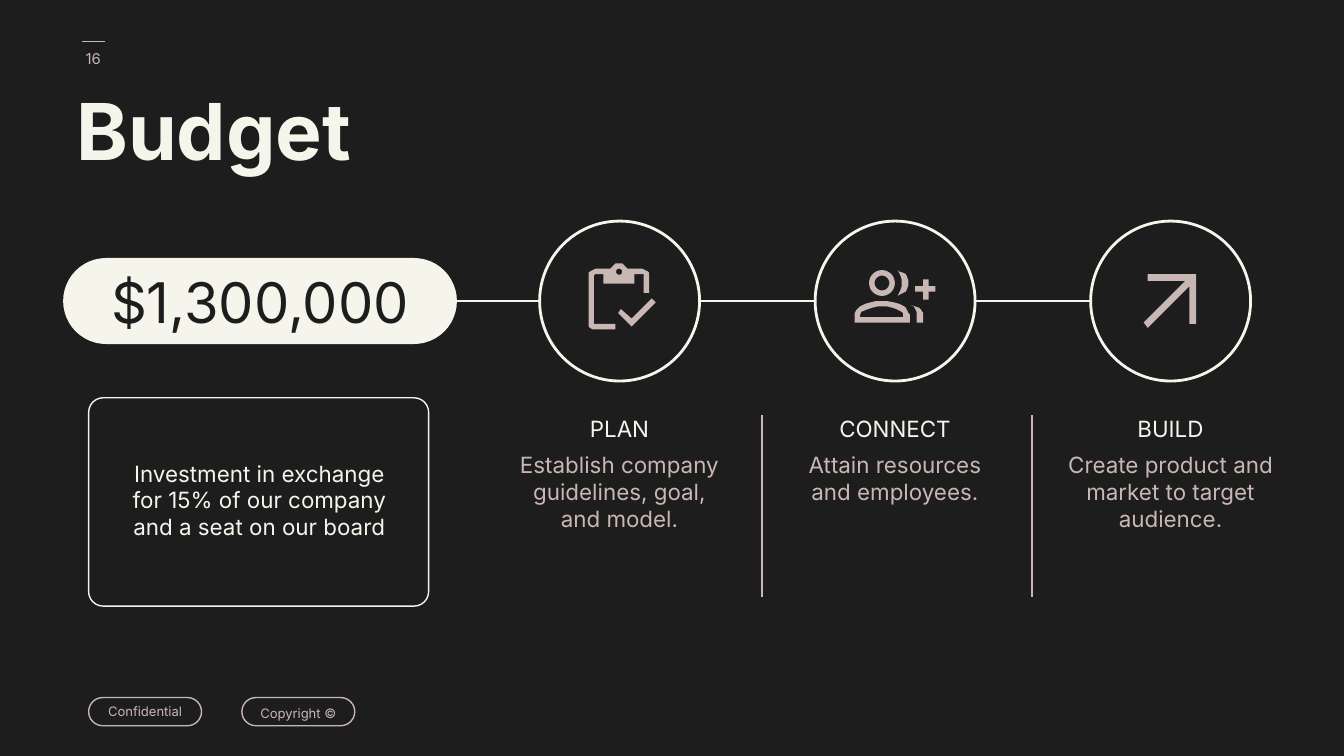
from math import cos, pi, sin

from lxml.etree import SubElement
from pptx import Presentation
from pptx.dml.color import RGBColor
from pptx.enum.shapes import MSO_CONNECTOR, MSO_SHAPE
from pptx.enum.text import MSO_ANCHOR, PP_ALIGN
from pptx.oxml.ns import qn
from pptx.util import Inches, Pt

THEME = {
    "font": "Inter",
    "dark": RGBColor.from_string("1D1D1D"),
    "cream": RGBColor.from_string("F6F5EC"),
    "rose": RGBColor.from_string("C9B7B4"),
    "title": 42, "amount": 30, "body": 12, "number": 8, "footer": 7,
    "thin": 0.75, "thick": 1.5,
}


def ring(x, y, radius, steps=32):
    return [(x + radius * cos(2 * pi * step / steps), y + radius * sin(2 * pi * step / steps))
            for step in range(steps)]


CLIPBOARD = [
    [(23, 0), (20, 0), (19, 1), (17, 3), (16, 4), (5, 4), (3, 5), (1, 6), (0, 7), (0, 47),
     (1, 48), (3, 49), (20, 49), (20, 45), (4, 45), (4, 9), (5, 8), (11, 8), (11, 15), (34, 15),
     (34, 8), (41, 8), (41, 22), (45, 22), (45, 7), (44, 6), (42, 5), (40, 4), (29, 4),
     (28, 3), (26, 1), (25, 0)],
    ring(22.7, 6.2, 2.3),
    [(47, 26), (32, 41), (24, 34), (22, 37), (32, 47), (50, 29)],
]
PEOPLE = [
    ring(20.3, 9.6, 9.6),
    ring(20.3, 9.6, 5.5),
    [(32, 0), (33, 2), (34, 4), (35, 7), (35, 12), (34, 15), (33, 17), (32, 19), (36, 17),
     (38, 16), (39, 14), (40, 11), (40, 8), (39, 5), (38, 3), (36, 2), (33, 1)],
    [(51, 7), (51, 12), (45, 12), (45, 16), (51, 16), (51, 22), (55, 22), (55, 16), (60, 16),
     (60, 12), (55, 12), (55, 7)],
    [(20, 23), (16, 23), (12, 24), (8, 25), (4, 27), (3, 28), (1, 30), (0, 32), (0, 39),
     (41, 39), (41, 33), (40, 32), (39, 30), (38, 28), (37, 27), (33, 25), (29, 24), (24, 23)],
    [(20, 27), (24, 27), (28, 28), (31, 29), (35, 31), (36, 32), (36, 35), (4, 35), (4, 33),
     (5, 31), (10, 29), (13, 28), (17, 27)],
    [(42, 26), (44, 27), (45, 29), (46, 31), (46, 39), (51, 39), (51, 32), (49, 29),
     (48, 28), (45, 27)],
]
ARROW = [[(3, 0), (3, 5), (31, 5), (0, 36), (3, 40), (34, 9), (34, 37), (39, 37), (39, 0)]]

NUMBER = "16"
TITLE = "Budget"
AMOUNT = "$1,300,000"
OFFER = "Investment in exchange for 15% of our company and a seat on our board"
FOOTERS = [("Confidential", 1.0), ("Copyright ©", 1.15)]
STEPS = [
    ("PLAN", "Establish company guidelines, goal, and model.", CLIPBOARD, (4.38, 1.96)),
    ("CONNECT", "Attain resources and employees.", PEOPLE, (6.36, 2.01)),
    ("BUILD", "Create product and market to target audience.", ARROW, (8.51, 2.04)),
]

WIDTH = 10
HEIGHT = WIDTH * 9 / 16
FIRST_CENTRE, PITCH = 4.61, 2.05
DIAMETER = 1.19
AXIS = 2.24
MARGIN = 0.66
CAPTION_TOP = 2.96

deck = Presentation()
deck.slide_width, deck.slide_height = Inches(WIDTH), Inches(HEIGHT)
slide = deck.slides.add_slide(deck.slide_layouts[6])
slide.background.fill.solid()
slide.background.fill.fore_color.rgb = THEME["dark"]
shapes = slide.shapes


def write(holder, wording, size, colour, align=PP_ALIGN.CENTER, anchor=MSO_ANCHOR.MIDDLE,
          spacing=1.0, bold=False):
    frame = holder.text_frame
    frame.word_wrap = True
    frame.vertical_anchor = anchor
    frame.margin_left = frame.margin_right = frame.margin_top = frame.margin_bottom = Inches(0.1)
    frame.text = wording
    paragraph = frame.paragraphs[0]
    paragraph.alignment, paragraph.line_spacing = align, spacing
    font = paragraph.runs[0].font
    font.name, font.size, font.bold = THEME["font"], Pt(THEME[size]), bold
    font.color.rgb = THEME[colour]


def add_text(box, *args, **style):
    write(shapes.add_textbox(*map(Inches, box)), *args, **style)


def add_line(start, end, colour, weight):
    line = shapes.add_connector(MSO_CONNECTOR.STRAIGHT, *map(Inches, start + end))
    line.line.color.rgb = THEME[colour]
    line.line.width = Pt(THEME[weight])
    SubElement(line._element.spPr, qn("a:effectLst"))


def paint(shape, fill=None, line=None, weight="thin"):
    shape.shadow.inherit = False
    if fill:
        shape.fill.solid()
        shape.fill.fore_color.rgb = THEME[fill]
    else:
        shape.fill.background()
    if line:
        shape.line.color.rgb = THEME[line]
        shape.line.width = Pt(THEME[weight])
    else:
        shape.line.fill.background()


def add_rounded(box, corner, **look):
    rounded = shapes.add_shape(MSO_SHAPE.ROUNDED_RECTANGLE, *map(Inches, box))
    rounded.adjustments[0] = corner
    paint(rounded, **look)
    return rounded


def add_icon(contours, origin):
    placed = [[tuple(Inches(base + part / 100) for base, part in zip(origin, point))
               for point in contour] for contour in contours]
    builder = shapes.build_freeform(*placed[0][0])
    builder.add_line_segments(placed[0][1:])
    for contour in placed[1:]:
        builder.move_to(*contour[0])
        builder.add_line_segments(contour[1:])
    paint(builder.convert_to_shape(), fill="rose")


add_text((0.46, 0.22, 0.47, 0.43), NUMBER, "number", "rose")
add_line((0.78, 0.31), (0.61, 0.31), "rose", "thin")
add_text((0.47, 0.65, 7.4, 0.96), TITLE, "title", "cream", align=PP_ALIGN.LEFT,
         anchor=MSO_ANCHOR.TOP, spacing=0.8, bold=True)

link_start = 3.18
for column, (heading, detail, icon, icon_origin) in enumerate(STEPS):
    centre = FIRST_CENTRE + column * PITCH
    left = centre - DIAMETER / 2
    add_line((link_start, AXIS), (left, AXIS), "cream", "thick")
    link_start = left + DIAMETER
    circle = shapes.add_shape(MSO_SHAPE.FLOWCHART_CONNECTOR, Inches(left),
                              Inches(AXIS - DIAMETER / 2), Inches(DIAMETER), Inches(DIAMETER))
    paint(circle, line="cream", weight="thick")
    add_icon(icon, icon_origin)
    add_text((centre - 0.8, CAPTION_TOP, 1.6, 0.3), heading, "body", "cream",
             anchor=MSO_ANCHOR.TOP, spacing=1.15)
    add_text((centre - 0.88, CAPTION_TOP + 0.3, 1.76, 1.19), detail, "body", "rose",
             anchor=MSO_ANCHOR.TOP)

for gap in range(len(STEPS) - 1):
    divider = 5.67 + gap * 2.01
    add_line((divider, 3.09), (divider, 4.44), "rose", "thin")

add_rounded((MARGIN, CAPTION_TOP, 2.53, 1.55), 0.07, line="cream")
add_text((0.84, CAPTION_TOP, 2.18, 1.52), OFFER, "body", "cream")
amount_pill = add_rounded((0.47, AXIS - 0.32, 2.93, 0.64), 0.5, fill="cream")
write(amount_pill, AMOUNT, "amount", "dark")

for place, (label, spacing) in enumerate(FOOTERS):
    footer_pill = add_rounded((MARGIN + place * 1.14, 5.19, 0.84, 0.21), 0.5, line="rose")
    write(footer_pill, label, "footer", "rose", spacing=spacing)

deck.save("out.pptx")
